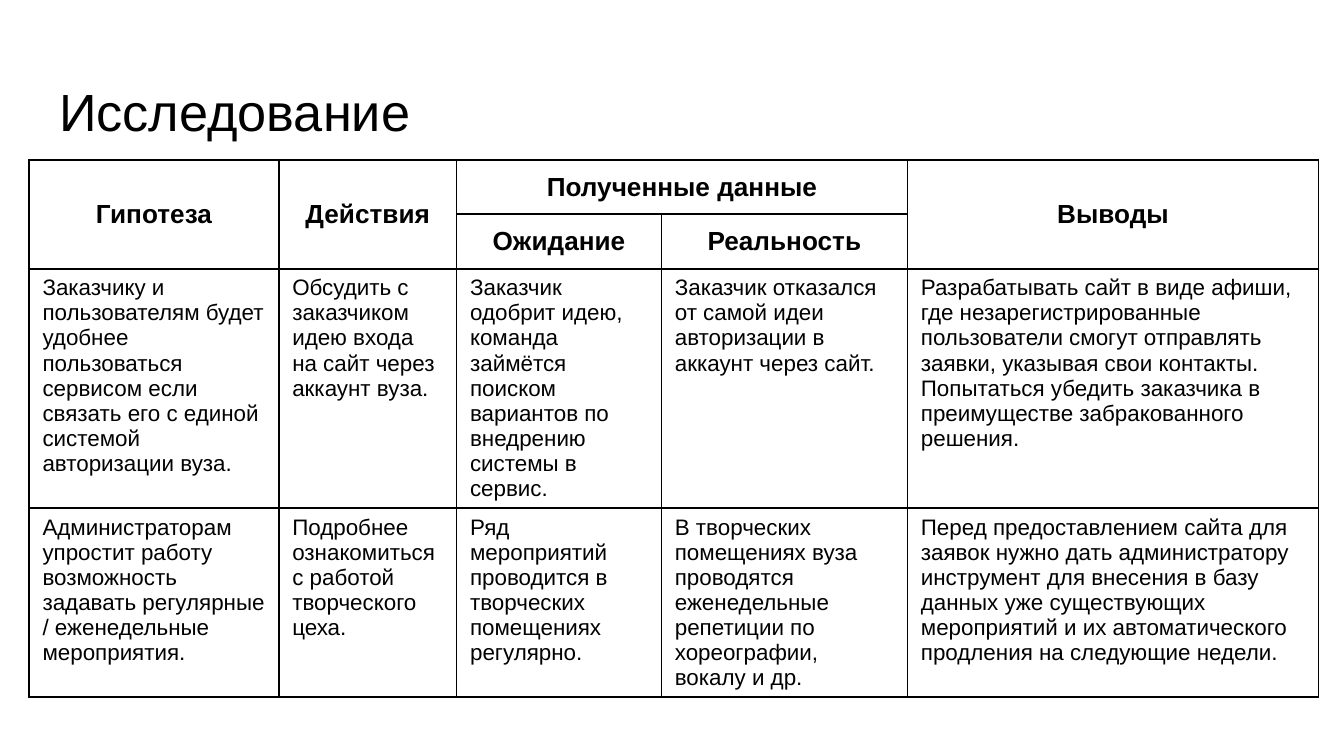
"""Build the research slide: a title and a table of hypotheses and findings."""
import dataclasses

import pptx
import pptx.dml.color
import pptx.enum.text
import pptx.oxml
import pptx.oxml.ns
import pptx.util

Cm = pptx.util.Cm
Align = pptx.enum.text.PP_ALIGN
Anchor = pptx.enum.text.MSO_ANCHOR


@dataclasses.dataclass(frozen=True)
class Theme:
    font: str = "Arial"
    ink: str = "000000"
    title: int = 28
    head: int = 14
    body: int = 12
    line: int = 1


THEME = Theme()
TITLE = "Исследование"
HEADS = [
    (0, 0, 2, 1, "Гипотеза"),
    (0, 1, 2, 1, "Действия"),
    (0, 2, 1, 2, "Полученные данные"),
    (0, 4, 2, 1, "Выводы"),
    (1, 2, 1, 1, "Ожидание"),
    (1, 3, 1, 1, "Реальность"),
]
BODY = [
    (
        "Заказчику и пользователям будет удобнее пользоваться сервисом если связать его с единой "
        "системой авторизации вуза.",
        "Обсудить с заказчиком идею входа на сайт через аккаунт вуза.",
        "Заказчик одобрит идею, команда займётся поиском вариантов по внедрению системы в сервис.",
        "Заказчик отказался от самой идеи авторизации в аккаунт через сайт.",
        "Разрабатывать сайт в виде афиши, где незарегистрированные пользователи смогут отправлять "
        "заявки, указывая свои контакты. Попытаться убедить заказчика в преимуществе "
        "забракованного решения.",
    ),
    (
        "Администраторам упростит работу возможность задавать регулярные / еженедельные "
        "мероприятия.",
        "Подробнее ознакомиться с работой творческого цеха.",
        "Ряд мероприятий проводится в творческих помещениях регулярно.",
        "В творческих помещениях вуза проводятся еженедельные репетиции по хореографии, "
        "вокалу и др.",
        "Перед предоставлением сайта для заявок нужно дать администратору инструмент для "
        "внесения в базу данных уже существующих мероприятий и их автоматического продления "
        "на следующие недели.",
    ),
]
WIDTHS = [4.72, 3.36, 3.87, 4.65, 7.77]
HEIGHTS = [1.03, 1.03, 4.5, 3.56]


def write(frame, text, size, bold=False, align=Align.LEFT):
    """Put one run of text into a frame."""
    par = frame.paragraphs[0]
    par.alignment = align
    run = par.add_run()
    run.text = text
    run.font.name = THEME.font
    run.font.size = pptx.util.Pt(size)
    run.font.bold = bold
    run.font.color.rgb = pptx.dml.color.RGBColor.from_string(THEME.ink)


def frame_cell(cell):
    """Give a cell four plain borders and no fill."""
    props = cell._tc.get_or_add_tcPr()
    for side in ("lnL", "lnR", "lnT", "lnB"):
        props.append(pptx.oxml.parse_xml(
            f'<a:{side} {pptx.oxml.ns.nsdecls("a")} w="{pptx.util.Pt(THEME.line)}">'
            f'<a:solidFill><a:srgbClr val="{THEME.ink}"/></a:solidFill></a:{side}>'
        ))
    cell.fill.background()


def add_title(slide):
    """Place and fill the title."""
    title = slide.shapes.title
    title.left, title.top = Cm(0.87), Cm(1.24)
    title.width, title.height = Cm(23.67), Cm(1.6)
    frame = title.text_frame
    frame.auto_size = pptx.enum.text.MSO_AUTO_SIZE.NONE
    frame.vertical_anchor = Anchor.TOP
    frame.margin_left = frame.margin_right = Cm(0.25)
    frame.margin_top = frame.margin_bottom = Cm(0.25)
    write(frame, TITLE, THEME.title)


def add_grid(slide):
    """Add the table with its merged head and its body."""
    table = slide.shapes.add_table(
        len(HEIGHTS), len(WIDTHS), Cm(0.55), Cm(3.02), Cm(sum(WIDTHS)), Cm(sum(HEIGHTS))
    ).table
    table.first_row = table.horz_banding = False
    for col, width in zip(table.columns, WIDTHS):
        col.width = Cm(width)
    for row, height in zip(table.rows, HEIGHTS):
        row.height = Cm(height)
    for cell in table.iter_cells():
        frame_cell(cell)
    for row, col, down, wide, text in HEADS:
        cell = table.cell(row, col)
        if down * wide > 1:
            cell.merge(table.cell(row + down - 1, col + wide - 1))
        cell.vertical_anchor = Anchor.MIDDLE
        write(cell.text_frame, text, THEME.head, True, Align.CENTER)
    for row, texts in enumerate(BODY, 2):
        for col, text in enumerate(texts):
            write(table.cell(row, col).text_frame, text, THEME.body)


def main():
    """Build and save the deck."""
    deck = pptx.Presentation()
    deck.slide_width, deck.slide_height = Cm(25.4), Cm(14.29)
    slide = deck.slides.add_slide(deck.slide_layouts[5])
    add_title(slide)
    add_grid(slide)
    deck.save("out.pptx")


if __name__ == "__main__":
    main()
